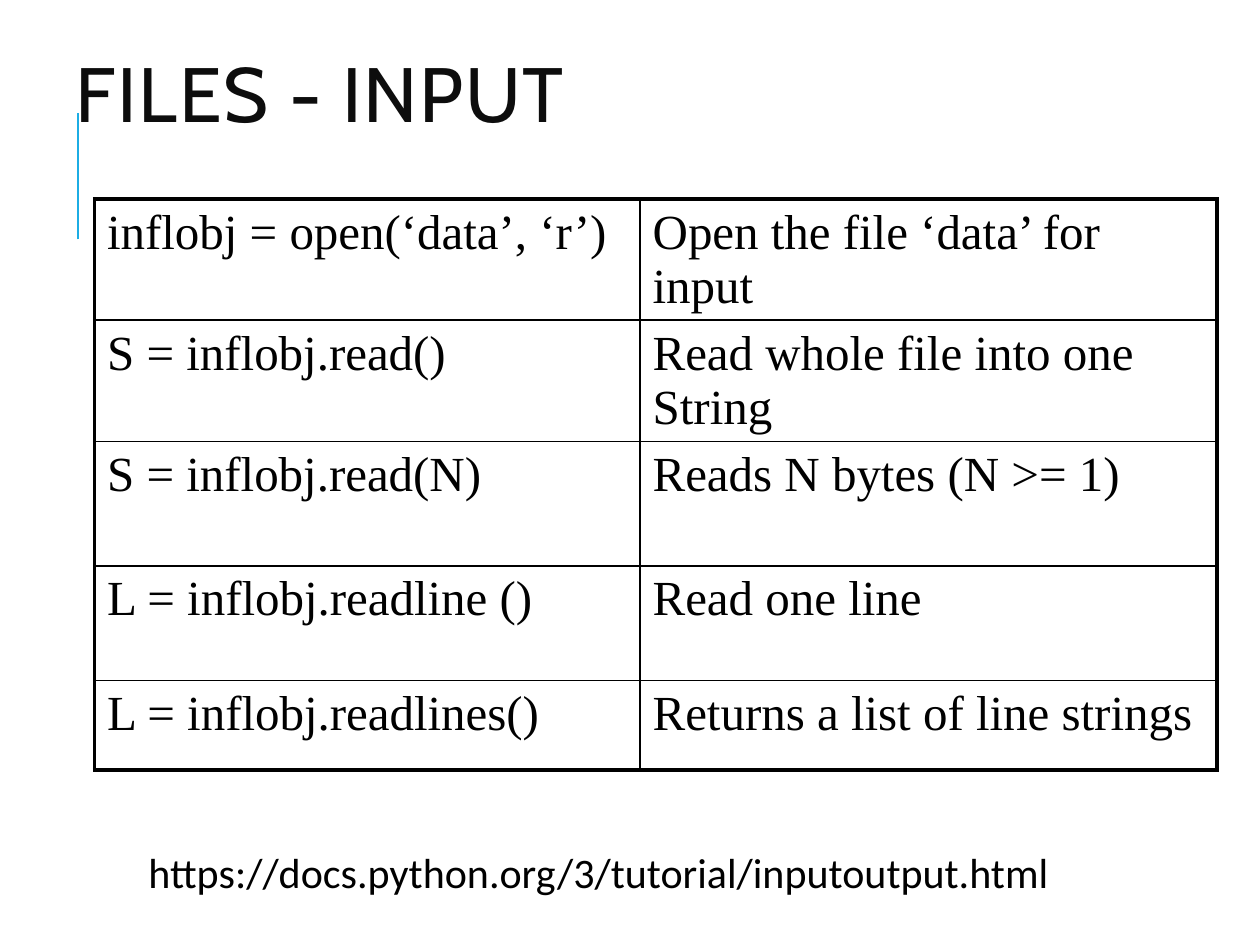
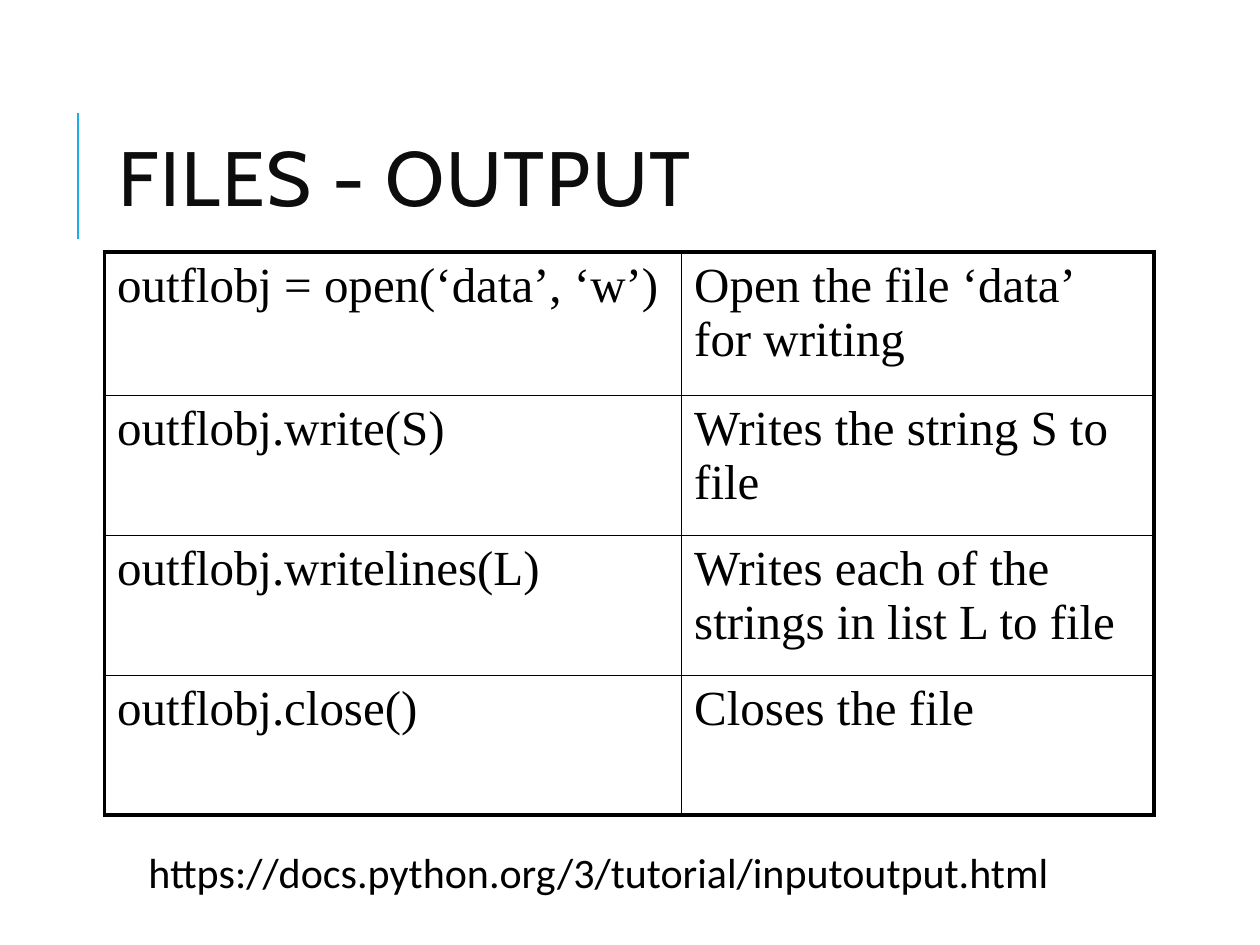
"""Build two slides that list Python file input and output calls."""
from lxml import etree
from pptx import Presentation
from pptx.dml.color import RGBColor
from pptx.enum import shapes, text
from pptx.oxml import ns
from pptx.util import Inches, Pt

COLORS = {"accent": "1CADE4", "title": "0D0D0D", "ink": "000000"}
OUTER, INNER = 2.25, 1
REFERENCE = "https://docs.python.org/3/tutorial/inputoutput.html"

PAGES = [
    {
        "title": "FILES - INPUT",
        "title_box": (0.5, 0, 8.5, 1.59),
        "table_at": (0.75, 1.58),
        "columns": (4.33, 4.58),
        "heights": (0.91, 0.91, 0.99, 0.91, 0.71),
        "rows": [
            ("inflobj = open(‘data’, ‘r’)", "Open the file ‘data’ for input"),
            ("S = inflobj.read()", "Read whole file into one String"),
            ("S = inflobj.read(N)", "Reads N bytes (N >= 1)"),
            ("L = inflobj.readline ()", "Read one line"),
            ("L = inflobj.readlines()", "Returns a list of line strings"),
        ],
    },
    {
        "title": "FILES - OUTPUT",
        "title_box": (0.84, 0.64, 7.97, 1.64),
        "table_at": (0.83, 2),
        "columns": (4.58, 3.75),
        "heights": (1.14, 1.11, 1.11, 1.11),
        "rows": [
            ("outflobj = open(‘data’, ‘w’)", "Open the file ‘data’ for writing"),
            ("outflobj.write(S)", "Writes the string S to file"),
            ("outflobj.writelines(L)", "Writes each of the strings in list L to file"),
            ("outflobj.close()", "Closes the file"),
        ],
    },
]


def style(paragraph, font_name, size, color):
    paragraph.alignment = text.PP_ALIGN.LEFT
    paragraph.font.name = font_name
    paragraph.font.size = Pt(size)
    paragraph.font.color.rgb = RGBColor.from_string(COLORS[color])


def set_borders(cell, widths):
    properties = cell._tc.get_or_add_tcPr()
    for index, (side, width) in enumerate(widths.items()):
        line = etree.Element(ns.qn(f"a:ln{side}"), w=str(Pt(width)))
        fill = etree.SubElement(line, ns.qn("a:solidFill"))
        etree.SubElement(fill, ns.qn("a:srgbClr"), val=COLORS["ink"])
        properties.insert(index, line)


presentation = Presentation()
presentation.slide_width, presentation.slide_height = Inches(10), Inches(7.5)

for page in PAGES:
    slide = presentation.slides.add_slide(presentation.slide_layouts[5])

    accent = slide.shapes.add_connector(
        shapes.MSO_CONNECTOR.STRAIGHT, Inches(0.62), Inches(1.9), Inches(0.62), Inches(0.9)
    )
    accent.line.color.rgb = RGBColor.from_string(COLORS["accent"])
    accent.line.width = Pt(1.5)
    etree.SubElement(accent._element.spPr, ns.qn("a:effectLst"))

    title = slide.shapes.title
    title.left, title.top, title.width, title.height = map(Inches, page["title_box"])
    title.text_frame.text = page["title"]
    title.text_frame.auto_size = text.MSO_AUTO_SIZE.NONE
    title.text_frame.vertical_anchor = text.MSO_ANCHOR.MIDDLE
    heading = title.text_frame.paragraphs[0]
    heading.line_spacing = 0.8
    style(heading, "Cabin", 44, "title")
    heading.runs[0]._r.get_or_add_rPr().set("spc", "100")

    columns, heights, rows = page["columns"], page["heights"], page["rows"]
    left, top = page["table_at"]
    table = slide.shapes.add_table(
        len(rows), len(columns), Inches(left), Inches(top),
        Inches(sum(columns)), Inches(sum(heights)),
    ).table
    table.first_row = table.horz_banding = False
    for column, width in zip(table.columns, columns):
        column.width = Inches(width)
    last_row, last_column = len(rows) - 1, len(columns) - 1
    for row_index, (height, row) in enumerate(zip(heights, rows)):
        table.rows[row_index].height = Inches(height)
        for column_index, words in enumerate(row):
            cell = table.cell(row_index, column_index)
            cell.text = words
            cell.fill.background()
            style(cell.text_frame.paragraphs[0], "Times New Roman", 28, "ink")
            set_borders(cell, {
                "L": OUTER if column_index == 0 else INNER,
                "R": OUTER if column_index == last_column else INNER,
                "T": OUTER if row_index == 0 else INNER,
                "B": OUTER if row_index == last_row else INNER,
            })

    reference = slide.shapes.add_textbox(Inches(1.08), Inches(6.67), Inches(7.92), Inches(0.5))
    reference.text_frame.word_wrap = True
    reference.text_frame.auto_size = text.MSO_AUTO_SIZE.SHAPE_TO_FIT_TEXT
    reference.text_frame.text = REFERENCE
    style(reference.text_frame.paragraphs[0], "Calibri", 24, "ink")

presentation.save("out.pptx")
